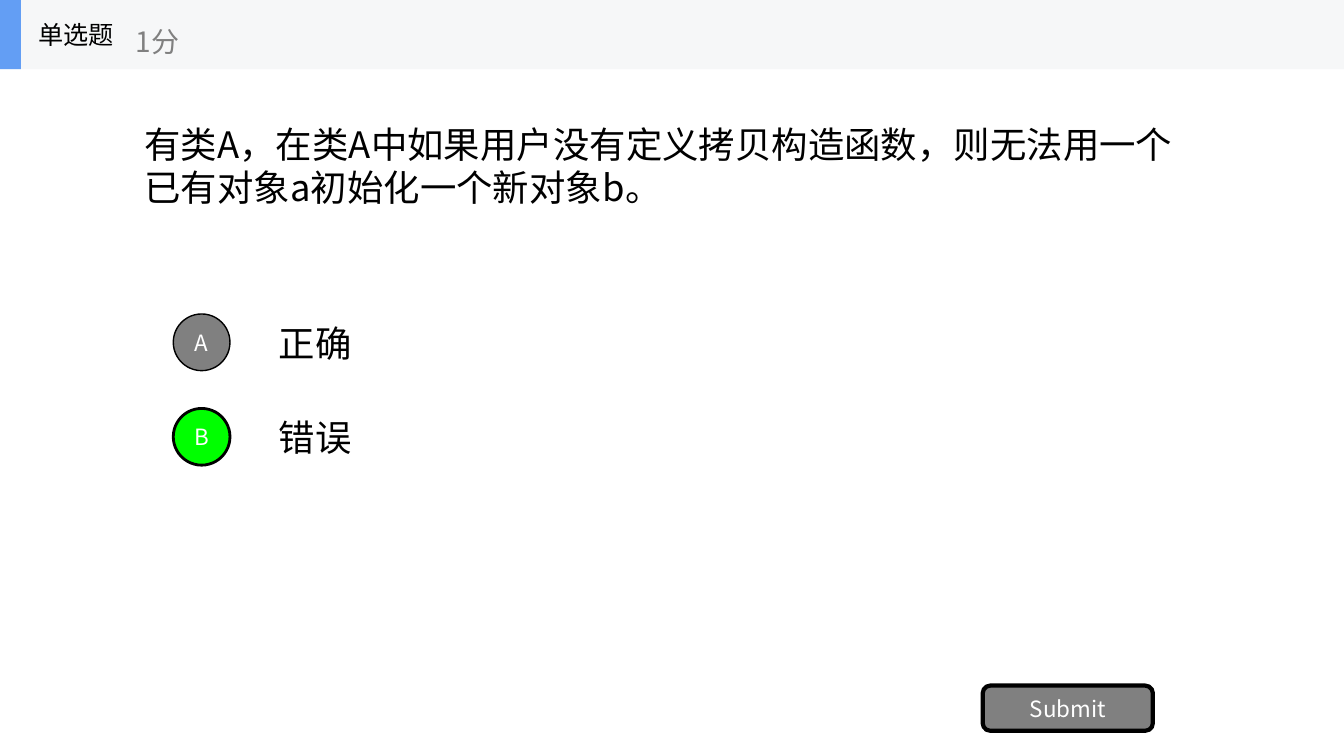
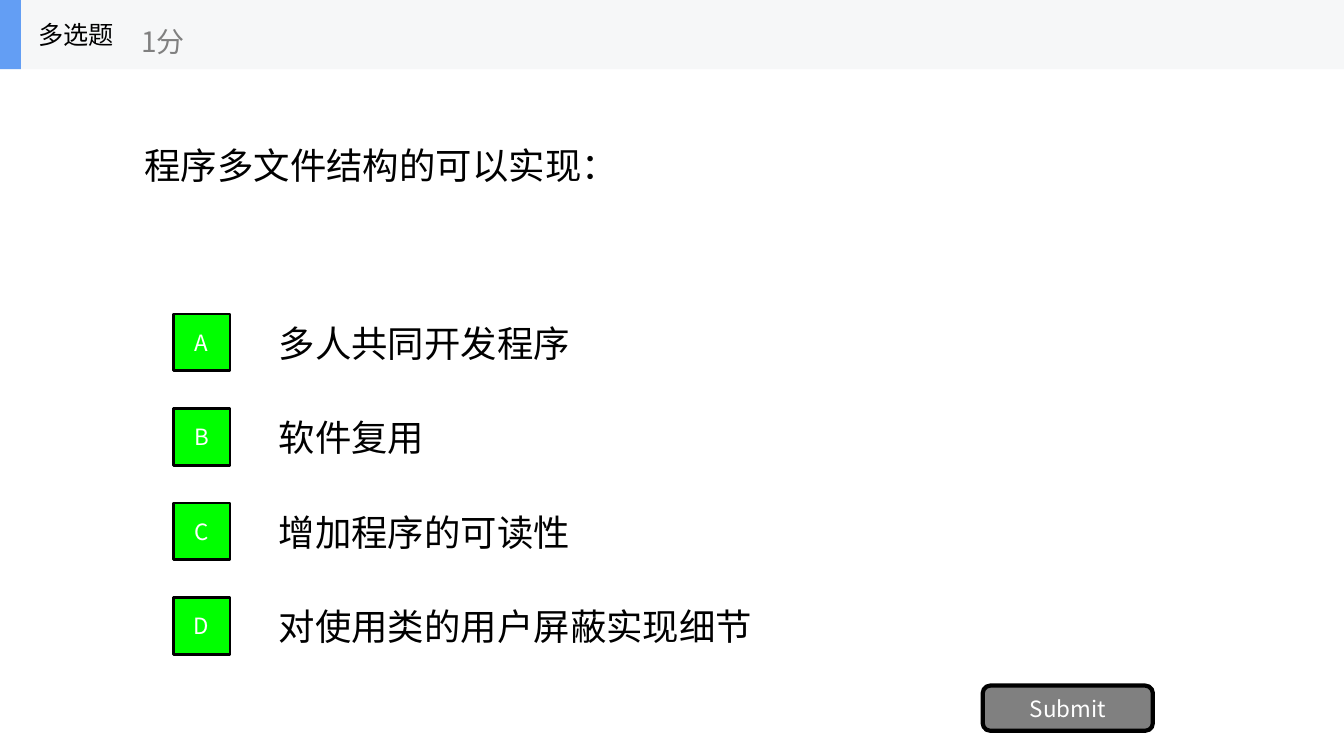
from pptx import Presentation
from pptx import util as u
from pptx.dml import color
from pptx.enum import shapes, text
from pptx.oxml import ns
from lxml import etree

PX = 9525
FONT = "Noto Sans CJK SC"
COLORS = {
    "ink": "000000",
    "paper": "FFFFFF",
    "gray": "808080",
    "chosen": "00FF00",
    "band": "F6F7F8",
    "accent": "639EF4",
}
OPTION_TOP, OPTION_PITCH = 293, 90
OPTION_HEIGHT, MARKER_SIZE = 67, 54

QUIZ = [
    {
        "kind": "单选题",
        "score_left": 120,
        "question": "有类A，在类A中如果用户没有定义拷贝构造函数，则无法用一个已有对象a初始化一个新对象b。",
        "marker": shapes.MSO_SHAPE.OVAL,
        "options": ["正确", "错误"],
        "answers": "B",
    },
    {
        "kind": "多选题",
        "score_left": 125,
        "question": "程序多文件结构的可以实现：",
        "marker": shapes.MSO_SHAPE.RECTANGLE,
        "options": ["多人共同开发程序", "软件复用", "增加程序的可读性", "对使用类的用户屏蔽实现细节"],
        "answers": "ABCD",
    },
]


def px(*lengths):
    """Turn whole pixels into EMU."""
    return [u.Emu(length * PX) for length in lengths]


def rgb(name):
    """Look up a named colour."""
    return color.RGBColor.from_string(COLORS[name])


def write(shape, words, size, ink="ink", align=text.PP_ALIGN.LEFT, wrap=True):
    """Fill a shape with one vertically centred paragraph."""
    frame = shape.text_frame
    frame.text = words
    frame.auto_size = text.MSO_AUTO_SIZE.NONE
    frame.word_wrap = wrap
    frame.vertical_anchor = text.MSO_ANCHOR.MIDDLE
    para = frame.paragraphs[0]
    para.alignment = align
    para.font.size = u.Pt(size)
    para.font.color.rgb = rgb(ink)
    para.font.name = FONT
    etree.SubElement(para.font._element, ns.qn("a:ea"), typeface=FONT)


def add_label(parent, area, words, size, ink="ink", wrap=True):
    """Add a left-aligned text box."""
    box = parent.shapes.add_textbox(*px(*area))
    write(box, words, size, ink, wrap=wrap)


def add_block(parent, kind, area, fill, line=0):
    """Add a filled shape, outlined when a line width is given."""
    block = parent.shapes.add_shape(kind, *px(*area))
    block.shadow.inherit = False
    block.fill.solid()
    block.fill.fore_color.rgb = rgb(fill)
    if line:
        block.line.color.rgb = rgb("ink")
        block.line.width = u.Pt(line)
    else:
        block.line.fill.background()
    return block


def add_button(page, kind, area, words, fill, line):
    """Add an outlined shape with a white centred caption."""
    button = add_block(page, kind, area, fill, line)
    write(button, words, 16, "paper", text.PP_ALIGN.CENTER)


def add_header(page, kind, score_left):
    """Add the grouped top band with question type and score."""
    header = page.shapes.add_group_shape()
    add_block(header, shapes.MSO_SHAPE.RECTANGLE, (0, 0, 1280, 66), "band")
    add_block(header, shapes.MSO_SHAPE.RECTANGLE, (0, 0, 20, 66), "accent")
    add_label(header, (27, 0, 200, 66), kind, 18, wrap=False)
    add_label(header, (score_left, 12, 240, 54), "1分", 20, "gray", wrap=False)


def add_question(page, words):
    """Place the question in the title placeholder."""
    title = page.shapes.title
    title.left, title.top, title.width, title.height = px(128, 45, 1024, 225)
    write(title, words, 26)


def add_options(page, marker, options, answers):
    """Add the lettered options, with the right answers highlighted."""
    inset = (OPTION_HEIGHT - MARKER_SIZE) // 2
    for row, (letter, words) in enumerate(zip("ABCD", options)):
        top = OPTION_TOP + row * OPTION_PITCH
        add_label(page, (256, top, 896, OPTION_HEIGHT), words, 26)
        fill, line = ("chosen", 2) if letter in answers else ("gray", 1)
        area = (165, top + inset, MARKER_SIZE, MARKER_SIZE)
        add_button(page, marker, area, letter, fill, line)


def add_quiz_page(deck, quiz):
    """Build one question slide."""
    page = deck.slides.add_slide(deck.slide_layouts.get_by_name("Title Only"))
    add_question(page, quiz["question"])
    add_options(page, quiz["marker"], quiz["options"], quiz["answers"])
    add_button(page, shapes.MSO_SHAPE.ROUNDED_RECTANGLE, (936, 653, 162, 43), "Submit", "gray", 3)
    add_header(page, quiz["kind"], quiz["score_left"])


def main():
    """Build and save the deck."""
    deck = Presentation()
    deck.slide_width, deck.slide_height = px(1280, 720)
    for quiz in QUIZ:
        add_quiz_page(deck, quiz)
    deck.save("out.pptx")


if __name__ == "__main__":
    main()
